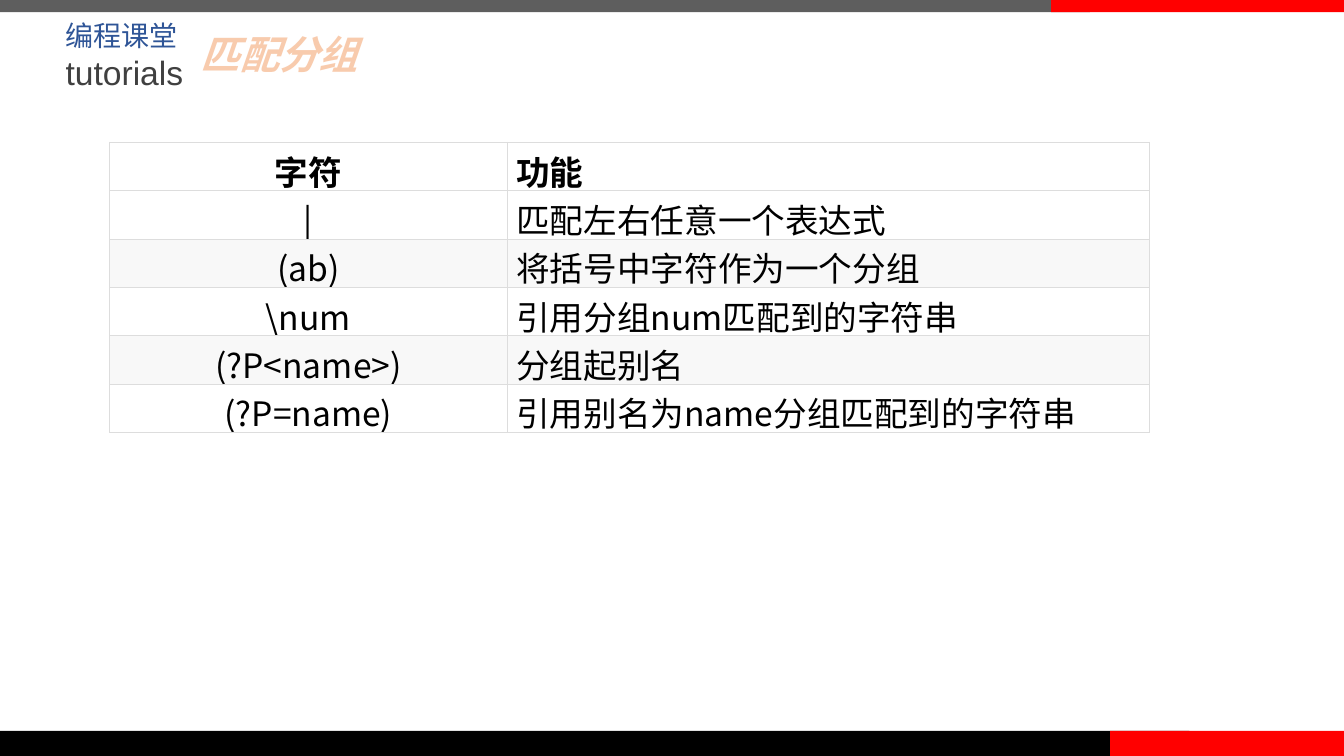
from lxml.etree import SubElement
from pptx import Presentation
from pptx.dml.color import RGBColor
from pptx.enum.shapes import MSO_SHAPE as Preset
from pptx.enum.text import MSO_ANCHOR as Anchor, MSO_AUTO_SIZE as Fit, PP_ALIGN as Align
from pptx.oxml import parse_xml
from pptx.oxml.ns import nsdecls, qn
from pptx.util import Emu, Inches, Pt

COLORS = {
    "grey": "5E5E5E", "black": "000000", "red": "FF0000", "white": "FFFFFF",
    "blue": "2F5597", "charcoal": "404040", "peach": "F8CBAD", "orange": "ED7D31",
    "band": "F8F8F8", "rule": "DDDDDD",
}
CJK_FONT = "Noto Sans CJK SC"
BARS = [
    (0, 0, 81.1, 1.6, "grey"),
    (0, 96.67, 88.5, 3.33, "black"),
    (82.6, 96.67, 17.4, 3.33, "red"),
    (78.2, 0, 21.8, 1.6, "red"),
]
BRAND = [("编程课堂", 20, "blue"), ("tutorials", 24, "charcoal")]
PATTERNS = [
    ("字符", "功能"),
    ("|", "匹配左右任意一个表达式"),
    ("(ab)", "将括号中字符作为一个分组"),
    ("\\num", "引用分组num匹配到的字符串"),
    ("(?P<name>)", "分组起别名"),
    ("(?P=name)", "引用别名为name分组匹配到的字符串"),
]


class SlideBuilder:
    """Draw styled elements on one slide, with lengths in percent of its size."""

    def __init__(self, deck):
        self.deck = deck
        self.page = deck.slides.add_slide(deck.slide_layouts[5])

    def across(self, share):
        return Emu(round(self.deck.slide_width * share / 100))

    def down(self, share):
        return Emu(round(self.deck.slide_height * share / 100))

    def area(self, left, top, width, height):
        return self.across(left), self.down(top), self.across(width), self.down(height)

    def paint(self, fill, color):
        fill.solid()
        fill.fore_color.rgb = RGBColor.from_string(COLORS[color])

    def style(self, para, size, color, name=CJK_FONT, bold=False, italic=False, align=Align.LEFT):
        para.alignment = align
        font = para.font
        font.size, font.name, font.bold, font.italic = Pt(size), name, bold, italic
        self.paint(font.fill, color)
        SubElement(font._rPr, qn("a:ea"), typeface=name)

    def line(self, tag, color, width):
        return parse_xml(
            f'<a:{tag} {nsdecls("a")} w="{Pt(width)}"><a:solidFill>'
            f'<a:srgbClr val="{COLORS[color]}"/></a:solidFill></a:{tag}>'
        )

    def bar(self, left, top, width, height, color):
        box = self.page.shapes.add_shape(Preset.RECTANGLE, *self.area(left, top, width, height))
        box.shadow.inherit = False
        box.line.fill.background()
        self.paint(box.fill, color)

    def brand(self, lines, *place):
        frame = self.page.shapes.add_textbox(*self.area(*place)).text_frame
        frame.word_wrap = True
        frame.margin_left = frame.margin_right = Inches(0.06)
        frame.margin_top = frame.margin_bottom = Inches(0.06)
        frame.text = "\n".join(text for text, *_ in lines)
        for para, (_, size, color) in zip(frame.paragraphs, lines):
            self.style(para, size, color, name="Arial")

    def title(self, text, *place):
        box = self.page.shapes.title
        box.left, box.top, box.width, box.height = self.area(*place)
        frame = box.text_frame
        frame.text = text
        frame.auto_size = Fit.NONE
        frame.vertical_anchor = Anchor.TOP
        para = frame.paragraphs[0]
        self.style(para, 28, "peach", bold=True, italic=True)
        para.font._rPr.insert(0, self.line("ln", "orange", 1.75))

    def table(self, rows, widths, left, top):
        place = self.area(left, top, sum(widths), 0)
        table = self.page.shapes.add_table(len(rows), len(widths), *place).table
        table.first_row = table.horz_banding = False
        for column, width in zip(table.columns, widths):
            column.width = self.across(width)
        for row, texts in enumerate(rows):
            shade = "band" if row and row % 2 == 0 else "white"
            for column, text in enumerate(texts):
                align = Align.LEFT if column else Align.CENTER
                self.cell(table.cell(row, column), text, shade, align, bold=row == 0)

    def cell(self, cell, text, shade, align, bold):
        cell.text = text
        cell.vertical_anchor = Anchor.MIDDLE
        cell.margin_left = cell.margin_right = Inches(0.09)
        cell.margin_top = cell.margin_bottom = Inches(0.04)
        for tag in ("lnL", "lnR", "lnT", "lnB"):
            cell._tc.tcPr.append(self.line(tag, "rule", 0.5))
        self.paint(cell.fill, shade)
        self.style(cell.text_frame.paragraphs[0], 24, "black", bold=bold, align=align)


deck = Presentation()
deck.slide_width, deck.slide_height = Inches(13.33), Inches(7.5)
builder = SlideBuilder(deck)
for bar in BARS:
    builder.bar(*bar)
builder.brand(BRAND, 4.43, 1.6, 21.8, 15.5)
builder.title("匹配分组", 14.2, 3.33, 50, 7.6)
builder.table(PATTERNS, (29.6, 47.75), 8.15, 18.8)
deck.save("out.pptx")
